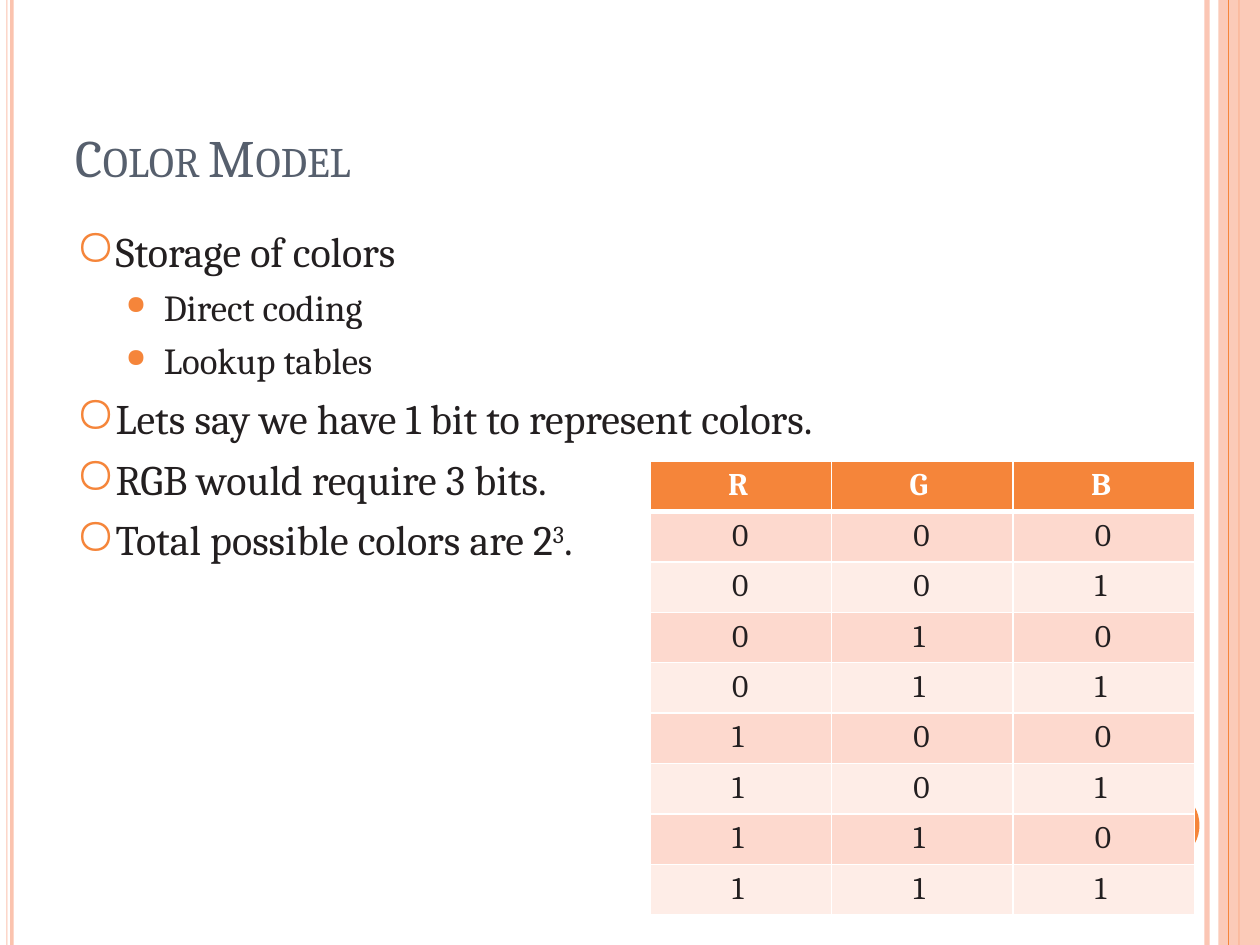
from lxml.etree import SubElement
from pptx import Presentation
from pptx.dml.color import RGBColor
from pptx.enum.shapes import MSO_CONNECTOR as CONNECTOR, MSO_SHAPE as SHAPE
from pptx.enum.text import MSO_ANCHOR as ANCHOR, MSO_AUTO_SIZE as AUTO_SIZE, PP_ALIGN as ALIGN
from pptx.oxml.ns import qn
from pptx.util import Inches, Pt

FONT = "Cambria"
ORANGE, INK, SLATE, WHITE = "F5853A", "231F20", "565F6D", "FFFFFF"
STRIPES = [
    (9.56, 0.04, "FBC6B4"),
    (0.05, 0.01, "FBC3AE"),
    (0.08, 0.03, "FBC3AE"),
    (9.67, 0.15, "FBCAB8"),
    (9.82, 0.02, "FABA9F"),
    (9.84, 0.16, "FBCAB8"),
]
TITLE = [("C", 30), ("OLOR ", 24), ("M", 30), ("ODEL", 24)]
BULLETS = [
    (0, ["Storage of colors"]),
    (1, ["Direct coding"]),
    (1, ["Lookup tables"]),
    (0, ["Lets say we have 1 bit to represent colors."]),
    (0, ["RGB would require 3 bits."]),
    (0, ["Total possible colors are 2", "3", "."]),
]
LEVELS = [
    {"margin": 0.36, "size": 24, "before": 6, "bullet": "○", "percent": 120},
    {"margin": 0.76, "size": 21, "before": 5, "bullet": "●", "percent": 70},
]
HEADERS = ["R", "G", "B"]
ROWS = [HEADERS] + [list(f"{number:03b}") for number in range(8)]
BANDS = ["FEEDE7", "FDD9CE"]
COLUMN_WIDTH, ROW_HEIGHT = 1.44, 0.4


def color(value):
    return RGBColor.from_string(value)


def style_font(font, size, value, bold=False):
    font.name, font.size, font.bold = FONT, Pt(size), bold
    font.color.rgb = color(value)


def set_frame(frame, top):
    frame.margin_left = frame.margin_right = frame.margin_bottom = 0
    frame.margin_top = Inches(top)
    frame.word_wrap = True
    frame.auto_size = AUTO_SIZE.NONE
    frame.vertical_anchor = ANCHOR.TOP


def add_filled(slide, preset, box, value):
    shape = slide.shapes.add_shape(preset, *map(Inches, box))
    shape.shadow.inherit = False
    shape.fill.solid()
    shape.fill.fore_color.rgb = color(value)
    shape.line.fill.background()


def add_decoration(slide):
    for left, width, value in STRIPES:
        add_filled(slide, SHAPE.RECTANGLE, (left, 0, width, 7.5), value)
    line = slide.shapes.add_connector(
        CONNECTOR.STRAIGHT, Inches(9.75), 0, Inches(9.75), Inches(7.5))
    line.line.color.rgb = color(ORANGE)
    line.line.width = Pt(0.75)
    SubElement(line._element.spPr, qn("a:effectLst"))
    add_filled(slide, SHAPE.OVAL, (8.92, 6.25, 0.6, 0.6), ORANGE)


def fill_title(title):
    title.left, title.top, title.width, title.height = map(Inches, (0.6, 0.98, 2.8, 0.53))
    set_frame(title.text_frame, 0.01)
    paragraph = title.text_frame.paragraphs[0]
    paragraph.alignment = ALIGN.LEFT
    for text, size in TITLE:
        run = paragraph.add_run()
        run.text = text
        style_font(run.font, size, SLATE)


def add_bullet(paragraph, level):
    properties = paragraph._p.get_or_add_pPr()
    properties.set("marL", str(Inches(level["margin"])))
    properties.set("indent", str(Inches(-0.3)))
    bullet_color = SubElement(properties, qn("a:buClr"))
    SubElement(bullet_color, qn("a:srgbClr"), val=ORANGE)
    SubElement(properties, qn("a:buSzPct"), val=str(level["percent"] * 1000))
    SubElement(properties, qn("a:buChar"), char=level["bullet"])


def add_body(slide):
    box = slide.shapes.add_textbox(*map(Inches, (0.54, 1.7, 6.83, 2.8)))
    frame = box.text_frame
    set_frame(frame, 0.09)
    for index, (depth, parts) in enumerate(BULLETS):
        level = LEVELS[depth]
        paragraph = frame.add_paragraph() if index else frame.paragraphs[0]
        paragraph.level = depth
        paragraph.space_before = Pt(level["before"] if index else 0)
        add_bullet(paragraph, level)
        style_font(paragraph.font, level["size"], INK)
        for position, text in enumerate(parts):
            run = paragraph.add_run()
            run.text = text
            if position == 1:
                run.font._element.set("baseline", "30000")


def set_borders(cell, widths):
    properties = cell._tc.get_or_add_tcPr()
    for index, (side, width) in enumerate(widths.items()):
        border = properties.makeelement(qn(f"a:ln{side}"), {"w": str(Pt(width))})
        fill = SubElement(border, qn("a:solidFill"))
        SubElement(fill, qn("a:srgbClr"), val=WHITE)
        properties.insert(index, border)


def add_color_table(slide):
    frame = slide.shapes.add_table(
        len(ROWS), len(HEADERS), Inches(5.16), Inches(3.66),
        Inches(COLUMN_WIDTH * len(HEADERS)), Inches(ROW_HEIGHT * len(ROWS)))
    table = frame.table
    table.horz_banding = False
    for column in table.columns:
        column.width = Inches(COLUMN_WIDTH)
    for row_index, values in enumerate(ROWS):
        header = row_index == 0
        table.rows[row_index].height = Inches(ROW_HEIGHT)
        for cell, text in zip(table.rows[row_index].cells, values):
            cell.text = text
            cell.margin_left = Inches(0.62 if header else 0.65)
            cell.margin_top = Inches(0.05)
            cell.margin_right = cell.margin_bottom = 0
            cell.fill.solid()
            cell.fill.fore_color.rgb = color(ORANGE if header else BANDS[row_index % 2])
            style_font(cell.text_frame.paragraphs[0].font, 18, WHITE if header else INK, header)
            set_borders(cell, {"L": 1, "R": 1, "T": 3 if row_index == 1 else 1,
                               "B": 3 if header else 1})


def main():
    """Build the color model slide with its bullets and bit table."""
    presentation = Presentation()
    presentation.slide_width, presentation.slide_height = Inches(10), Inches(7.5)
    slide = presentation.slides.add_slide(presentation.slide_layouts[5])
    add_decoration(slide)
    fill_title(slide.shapes.title)
    add_body(slide)
    add_color_table(slide)
    presentation.save("out.pptx")


if __name__ == "__main__":
    main()
